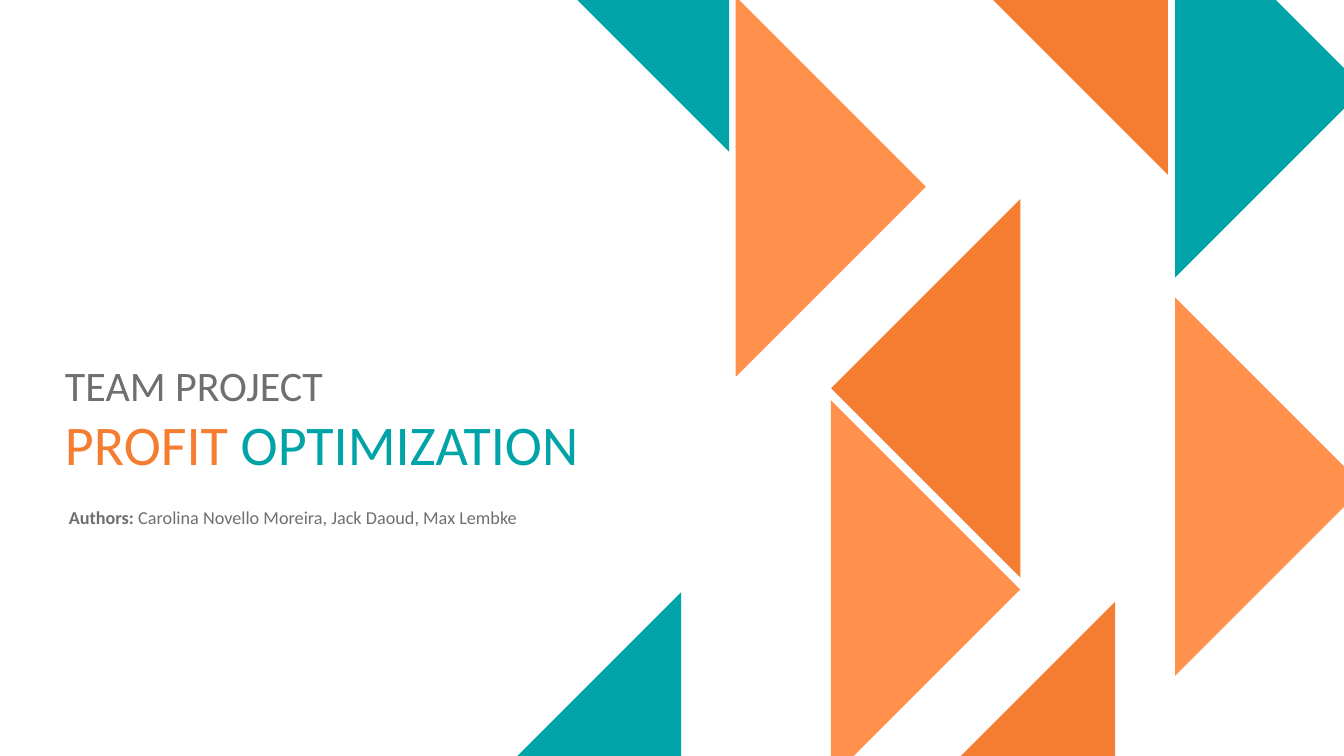
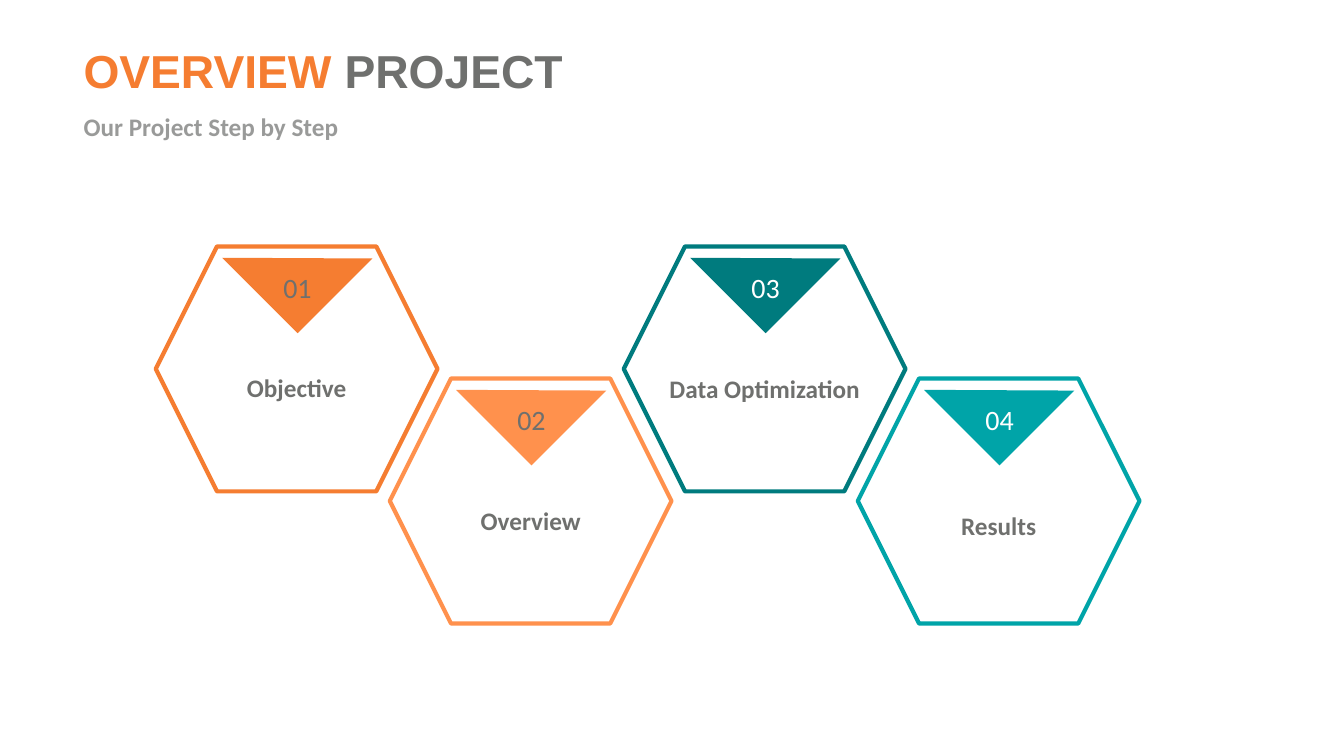
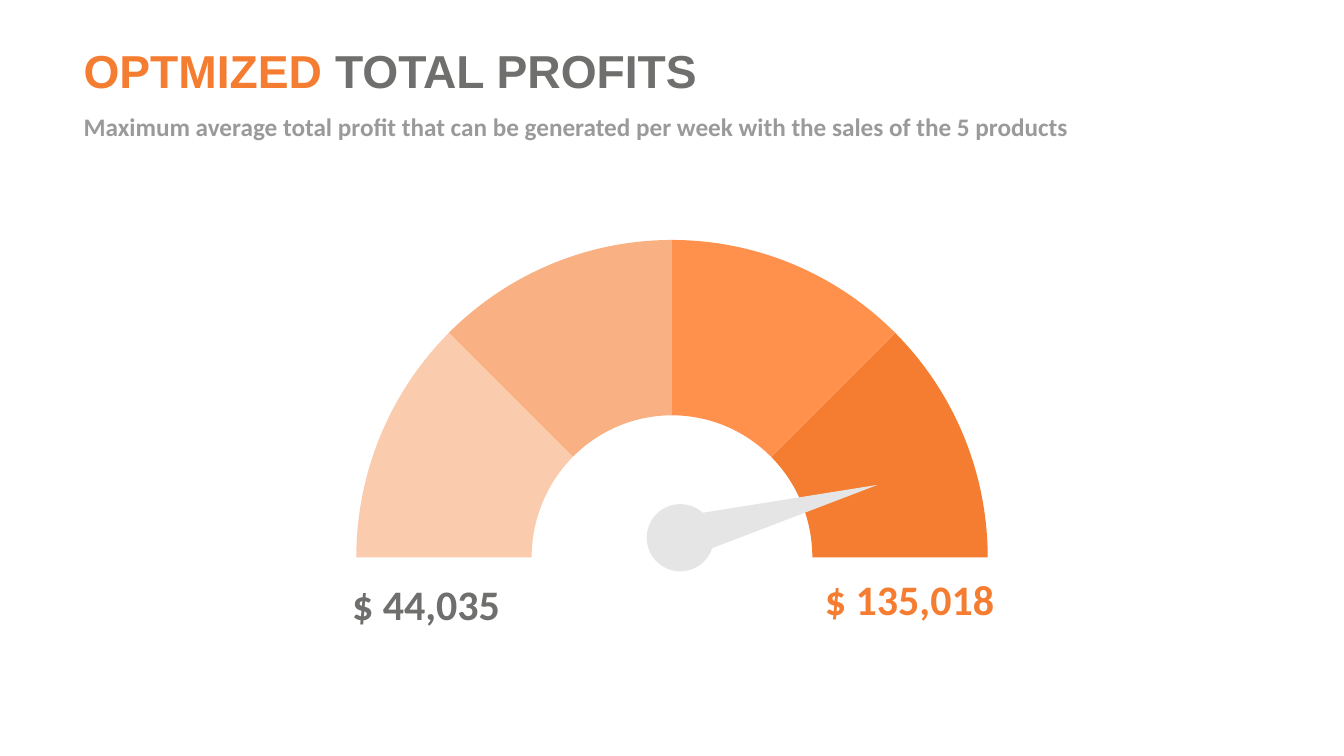
from math import cos, radians, sin, tan

from lxml import etree
from pptx import Presentation
from pptx.dml.color import RGBColor
from pptx.enum import shapes, text
from pptx.oxml.ns import qn
from pptx.util import Pt

ORANGE = RGBColor(0xF5, 0x7D, 0x31)
LIGHT_ORANGE = RGBColor(0xFF, 0x91, 0x4D)
PEACH = RGBColor(0xF9, 0xB1, 0x83)
PALE_PEACH = RGBColor(0xFB, 0xCB, 0xAD)
TEAL = RGBColor(0x00, 0xA4, 0xA8)
DARK_TEAL = RGBColor(0x00, 0x7B, 0x7E)
GRAY = RGBColor(0x6F, 0x70, 0x6E)
NEEDLE_GRAY = RGBColor(0xE5, 0xE5, 0xE5)
WHITE = RGBColor(0xFF, 0xFF, 0xFF)

TIGHT = 4.32  # inset of the compact text boxes
HEXAGON_SIZE = (402.5, 350)


def add_page(deck):
    page = deck.slides.add_slide(deck.slide_layouts[6])
    page.background.fill.solid()
    page.background.fill.fore_color.rgb = WHITE
    return page


def add_span(para, words, size, color, bold=False, font="Calibri", alpha=None):
    """Add one run; alpha is its opacity in percent."""
    span = para.add_run()
    span.text = words
    span.font.name = font
    span.font.size = Pt(size)
    span.font.bold = bold
    span.font.color.rgb = color
    if alpha is not None:
        tint = span.font.fill._xPr.find(f"{qn('a:solidFill')}/{qn('a:srgbClr')}")
        etree.SubElement(tint, qn("a:alpha"), val=str(alpha * 1000))


def add_text(page, place, lines, align=text.PP_ALIGN.LEFT, inset=None,
             spacing=None, wrap=True):
    """Add a text box; each line is a list of add_span argument tuples."""
    box = page.shapes.add_textbox(*map(Pt, place))
    frame = box.text_frame
    frame.word_wrap = wrap
    frame.auto_size = text.MSO_AUTO_SIZE.SHAPE_TO_FIT_TEXT
    if inset is not None:
        frame.margin_left = frame.margin_right = Pt(inset)
        frame.margin_top = frame.margin_bottom = Pt(inset)
        frame.vertical_anchor = text.MSO_ANCHOR.MIDDLE
    for index, spans in enumerate(lines):
        para = frame.add_paragraph() if index else frame.paragraphs[0]
        para.alignment = align
        if spacing:
            para.line_spacing = spacing
        for span in spans:
            add_span(para, *span)


def paint(shape, fill=None, line=None, width=1):
    shape.shadow.inherit = False
    if fill is None:
        shape.fill.background()
    else:
        shape.fill.solid()
        shape.fill.fore_color.rgb = fill
    if line is None:
        shape.line.fill.background()
    else:
        shape.line.color.rgb = line
        shape.line.width = Pt(width)


def add_triangle(page, left, top, width, height, rotation, color, line=None):
    triangle = page.shapes.add_shape(
        shapes.MSO_SHAPE.RIGHT_TRIANGLE, *map(Pt, (left, top, width, height)))
    triangle.rotation = rotation
    paint(triangle, color, line)


def add_outline(page, start, segments, color):
    """Draw a closed outline: a segment of one point is a line, of three a curve."""
    builder = page.shapes.build_freeform(*map(Pt, start))
    builder.add_line_segments(
        [(Pt(x), Pt(y)) for segment in segments for x, y in segment], close=True)
    outline = builder.convert_to_shape()
    sides = iter(list(outline._element.iter(qn("a:lnTo"))))
    for segment in segments:
        side = next(sides)
        if len(segment) == 3:
            curve = etree.Element(qn("a:cubicBezTo"))
            side.addprevious(curve)
            for part in (side, next(sides), next(sides)):
                curve.append(part[0])
                part.getparent().remove(part)
    paint(outline, color)
    return outline


def on_arc(center, radii, angle):
    """Point at an angle in degrees, anticlockwise from the right."""
    turn = radians(angle)
    return center[0] + radii[0] * cos(turn), center[1] - radii[1] * sin(turn)


def arc(center, radii, first, last):
    """One curve segment along an ellipse."""
    pull = 4 / 3 * tan(radians(last - first) / 4)

    def control(angle, reach):
        x, y = on_arc(center, radii, angle)
        turn = radians(angle)
        return x - reach * radii[0] * sin(turn), y - reach * radii[1] * cos(turn)

    return [control(first, pull), control(last, -pull), on_arc(center, radii, last)]


def add_heading(page, accent, rest, subtitle, title_width, subtitle_width):
    add_text(page, (112.3, 57, title_width, 87),
             [[(accent + " ", 66, ORANGE, True, "Arial"),
               (rest, 66, GRAY, True, "Arial")]], wrap=False)
    add_text(page, (112.3, 155.5, subtitle_width, 51),
             [[(subtitle, 36, GRAY, True, "Calibri", 70)]], wrap=False)


def add_step(page, left, top, number, label, label_drop, label_width, color,
             number_color):
    """Add one hexagon with its numbered triangle and label."""
    center = text.PP_ALIGN.CENTER
    hexagon = page.shapes.add_shape(
        shapes.MSO_SHAPE.HEXAGON, *map(Pt, (left, top, *HEXAGON_SIZE)))
    paint(hexagon, line=color, width=6)
    add_triangle(page, left + 126.5, top - 59.5, 151, 152.5, 315, color)
    add_text(page, (left + 143, top + 27.5, 119, 63),
             [[(number, 40, number_color)]], center, TIGHT)
    add_text(page, (left + (HEXAGON_SIZE[0] - label_width) / 2, top + label_drop,
                    label_width, 57),
             [[(label, 36, GRAY, True)]], center, TIGHT, 1.2)


def add_gauge(page):
    hub, outer, inner = (960, 796.3), (451, 453.5), (200.5, 203)
    for index, color in enumerate((ORANGE, LIGHT_ORANGE, PEACH, PALE_PEACH)):
        first, last = 45 * index, 45 * (index + 1)
        add_outline(page, on_arc(hub, outer, first),
                    [arc(hub, outer, first, last),
                     [on_arc(hub, inner, last)],
                     arc(hub, inner, last, first)], color)

    pivot, ball, reach = (1089.7, 858.6), (48, 48), 292
    stops = (123, 180, 270, 360, 417)
    sides = [arc(pivot, ball, *pair) for pair in zip(stops, stops[1:])]
    needle = add_outline(page, (pivot[0], pivot[1] - reach),
                         [[on_arc(pivot, ball, stops[0])], *sides], NEEDLE_GRAY)
    needle.rotation = 75


def build_cover(deck):
    page = add_page(deck)
    add_text(page, (88.5, 508, 855, 178),
             [[("TEAM PROJECT", 60, GRAY)],
              [("PROFIT ", 80, ORANGE), ("OPTIMIZATION", 80, TEAL)]], inset=TIGHT)
    add_text(page, (94, 714.5, 775, 43),
             [[("Authors: ", 26, GRAY, True),
               ("Carolina Novello Moreira, Jack Daoud, Max Lembke", 26, GRAY)]],
             inset=TIGHT, spacing=1.2)
    side = 382.3
    left_pointing, right_pointing = 45, 225
    for left, top, rotation, color, *line in (
            (1266.5, 363.6, left_pointing, ORANGE),
            (995.8, 650.9, right_pointing, LIGHT_ORANGE),
            (860.4, 75.6, right_pointing, LIGHT_ORANGE, LIGHT_ORANGE),
            (1477.4, -211.7, left_pointing, ORANGE),
            (1401.8, 938.9, left_pointing, ORANGE),
            (1487.5, 504, right_pointing, LIGHT_ORANGE),
            (781.9, 925.2, left_pointing, TEAL),
            (1487.5, -64.8, right_pointing, TEAL),
            (850.3, -244.8, left_pointing, TEAL)):
        add_triangle(page, left, top, side, side, rotation, color, *line)


def build_overview(deck):
    page = add_page(deck)
    add_heading(page, "OVERVIEW", "PROJECT", "Our Project Step by Step", 707, 384)
    steps = (("Objective", 169, 230, ORANGE, GRAY),
             ("Overview", 170, 283, LIGHT_ORANGE, GRAY),
             ("Data Optimization", 170, 283, DARK_TEAL, WHITE),
             ("Results", 176.5, 283, TEAL, WHITE))
    for index, step in enumerate(steps):
        add_step(page, 222.5 + 334.3 * index, 352 + 188.7 * (index % 2),
                 f"{index + 1:02}", *step)


def build_profits(deck):
    page = add_page(deck)
    add_heading(page, "OPTMIZED", "TOTAL PROFITS",
                "Maximum average total profit that can be generated per week "
                "with the sales of the 5 products", 907, 1451)
    add_gauge(page)
    for place, amount, color in (((484.5, 823, 248.5, 80), "$ 44,035", GRAY),
                                 ((1104.5, 816, 390, 80), "$ 135,018", ORANGE)):
        add_text(page, place, [[(amount, 60, color, True)]], text.PP_ALIGN.CENTER)


def main():
    deck = Presentation()
    deck.slide_width, deck.slide_height = Pt(1920), Pt(1080)
    build_cover(deck)
    build_overview(deck)
    build_profits(deck)
    deck.save("out.pptx")


if __name__ == "__main__":
    main()
